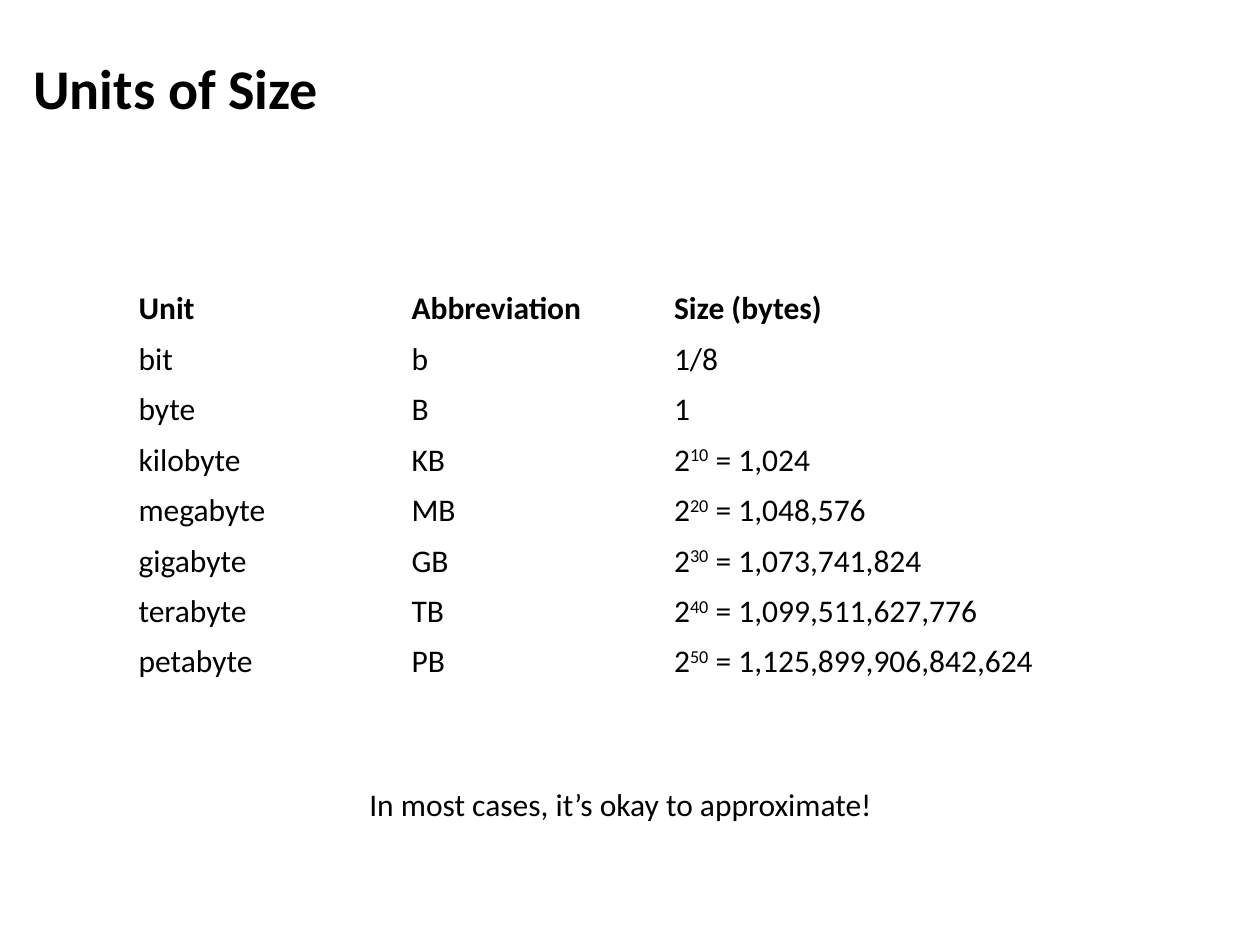
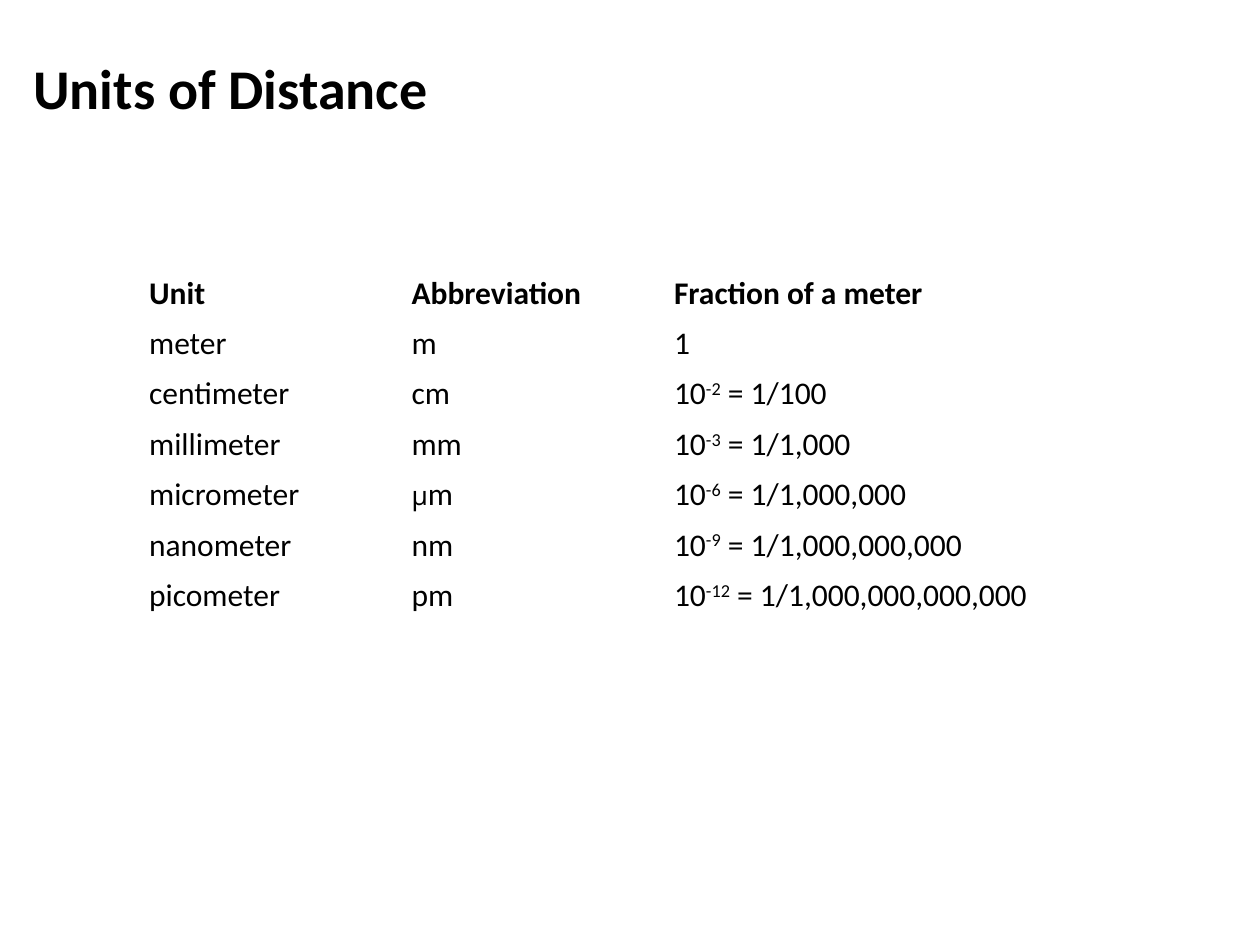
from dataclasses import dataclass

from lxml.etree import SubElement as add_element
from pptx import Presentation
from pptx.dml.color import RGBColor as Color
from pptx.enum.text import MSO_ANCHOR as Anchor, MSO_AUTO_SIZE as AutoSize
from pptx.oxml.ns import qn
from pptx.util import Inches, Pt


@dataclass(frozen=True)
class Theme:
    ink: str = "000000"
    paper: str = "FFFFFF"
    font: str = "Calibri"
    symbol_font: str = "Noto Sans"
    title_size: int = 32
    body_size: int = 18
    symbol_size: int = 15
    outer_rule: float = 2.25
    inner_rule: float = 1


theme = Theme()
deck = Presentation()
deck.slide_width, deck.slide_height = Inches(10), Inches(7.5)
column, row = deck.slide_width // 120, deck.slide_height // 90
row_height = round(4.8 * row)


def style(span, size=theme.body_size, bold=False, font=theme.font):
    span.font.name = font
    span.font.size = Pt(size)
    span.font.bold = bold
    span.font.color.rgb = Color.from_string(theme.ink)


def add_border(cell, side, width):
    line = add_element(cell._tc.get_or_add_tcPr(), qn(f"a:{side}"), w=str(Pt(width)))
    fill = add_element(line, qn("a:solidFill"))
    add_element(fill, qn("a:srgbClr"), val=theme.paper)


# A bar separates the spans of a cell, and a caret opens a superscript.
unit_slides = [
    {
        "title": "Units of Size",
        "left": 12,
        "top": 27,
        "widths": (26, 25, 48),
        "units": [
            ("Unit", "Abbreviation", "Size (bytes)"),
            ("bit", "b", "1/8"),
            ("byte", "B", "1"),
            ("kilobyte", "KB", "2|^10| = 1,024"),
            ("megabyte", "MB", "2|^20| = 1,048,576"),
            ("gigabyte", "GB", "2|^30| = 1,073,741,824"),
            ("terabyte", "TB", "2|^40| = 1,099,511,627,776"),
            ("petabyte", "PB", "2|^50| = 1,125,899,906,842,624"),
        ],
        "note": "In most cases, it’s okay to approximate!",
    },
    {
        "title": "Units of Distance",
        "left": 13,
        "top": 25.5,
        "widths": (25, 25, 45),
        "units": [
            ("Unit", "Abbreviation", "Fraction of a meter"),
            ("meter", "m", "1"),
            ("centimeter", "cm", "10|^-2| = 1/100"),
            ("millimeter", "mm", "10|^-3| = 1/1,000"),
            ("micrometer", "μ|m", "10|^-6| = 1/1,000,000"),
            ("nanometer", "nm", "10|^-9| = 1/1,000,000,000"),
            ("picometer", "pm", "10|^-12| = 1/1,000,000,000,000"),
        ],
        "note": None,
    },
]

for content in unit_slides:
    page = deck.slides.add_slide(deck.slide_layouts[6])
    page.background.fill.solid()
    page.background.fill.fore_color.rgb = Color.from_string(theme.paper)

    title = page.shapes.add_textbox(
        2 * column, round(1.5 * row), 114 * column, round(13.5 * row)
    ).text_frame
    title.word_wrap = True
    title.vertical_anchor = Anchor.MIDDLE
    title.text = content["title"]
    style(title.paragraphs[0].runs[0], theme.title_size, bold=True)

    units, widths = content["units"], content["widths"]
    table = page.shapes.add_table(
        len(units), len(widths),
        content["left"] * column, round(content["top"] * row),
        sum(widths) * column, len(units) * row_height,
    ).table
    table.first_row = table.horz_banding = False
    for table_column, width in zip(table.columns, widths):
        table_column.width = width * column

    for row_index, unit in enumerate(units):
        for column_index, text in enumerate(unit):
            cell = table.cell(row_index, column_index)
            on_edge = {
                "lnL": column_index == 0,
                "lnR": column_index == len(widths) - 1,
                "lnT": row_index == 0,
                "lnB": row_index == len(units) - 1,
            }
            for side, outer in on_edge.items():
                add_border(cell, side, theme.outer_rule if outer else theme.inner_rule)
            cell.fill.background()

            para = cell.text_frame.paragraphs[0]
            for piece in text.split("|"):
                span = para.add_run()
                span.text = piece.removeprefix("^")
                if piece == "μ":
                    style(span, theme.symbol_size, font=theme.symbol_font)
                else:
                    style(span, bold=row_index == 0)
                if piece.startswith("^"):
                    span.font._element.set("baseline", "30000")

    if content["note"]:
        note = page.shapes.add_textbox(
            34 * column, round(74.2 * row), round(50.4 * column), row_height
        ).text_frame
        note.word_wrap = False
        note.auto_size = AutoSize.SHAPE_TO_FIT_TEXT
        note.text = content["note"]
        style(note.paragraphs[0].runs[0])

deck.save("out.pptx")
